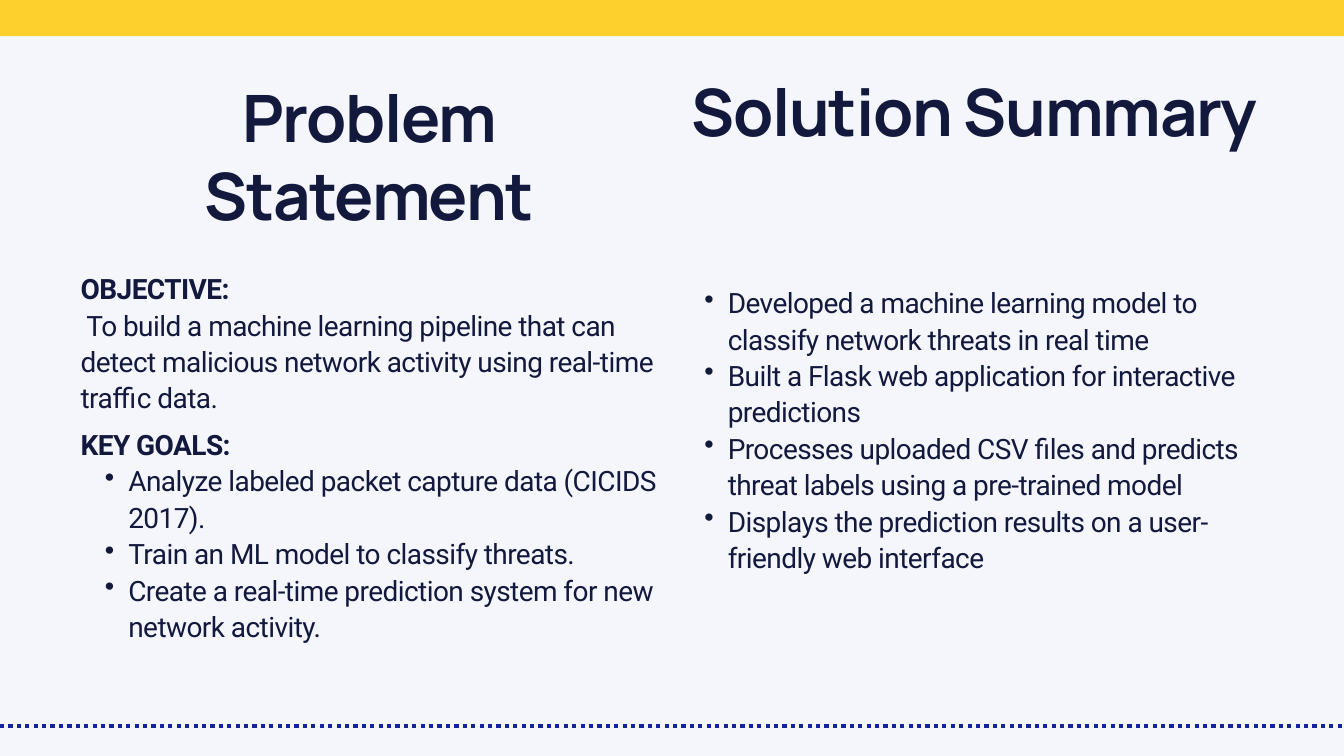
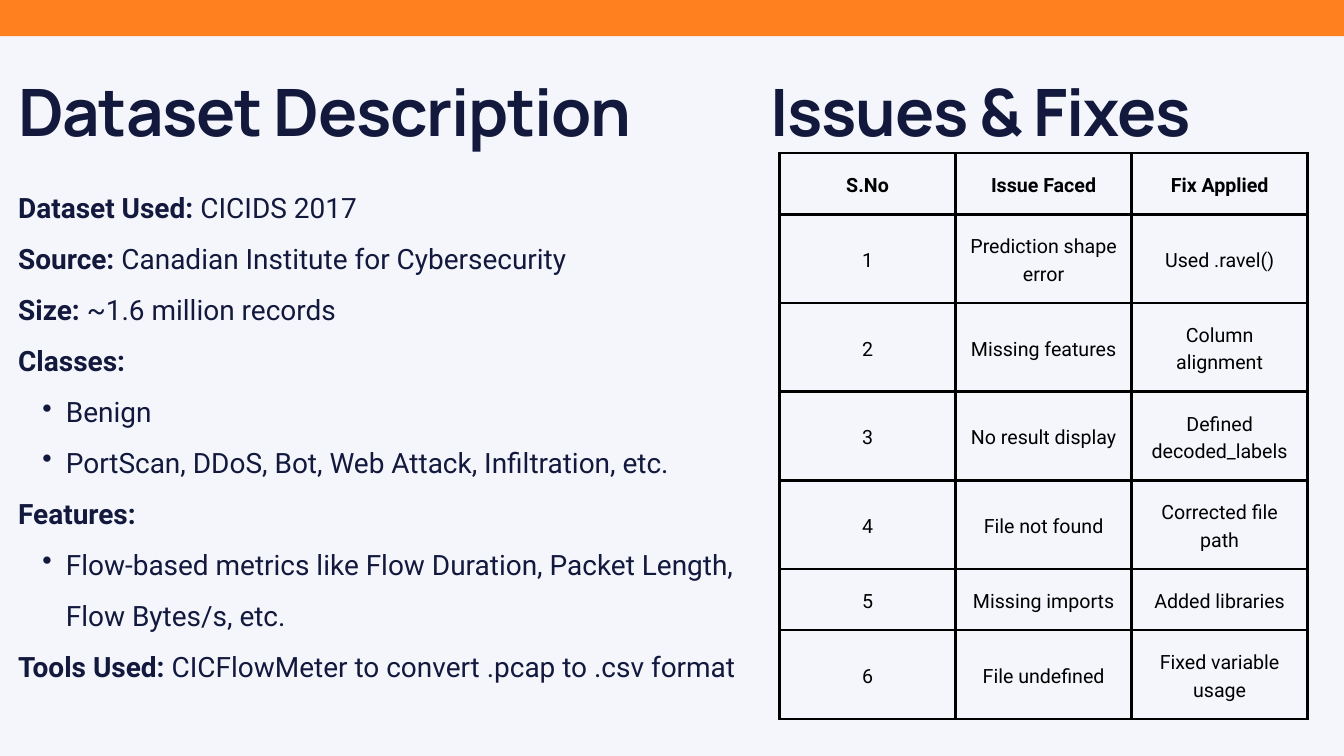
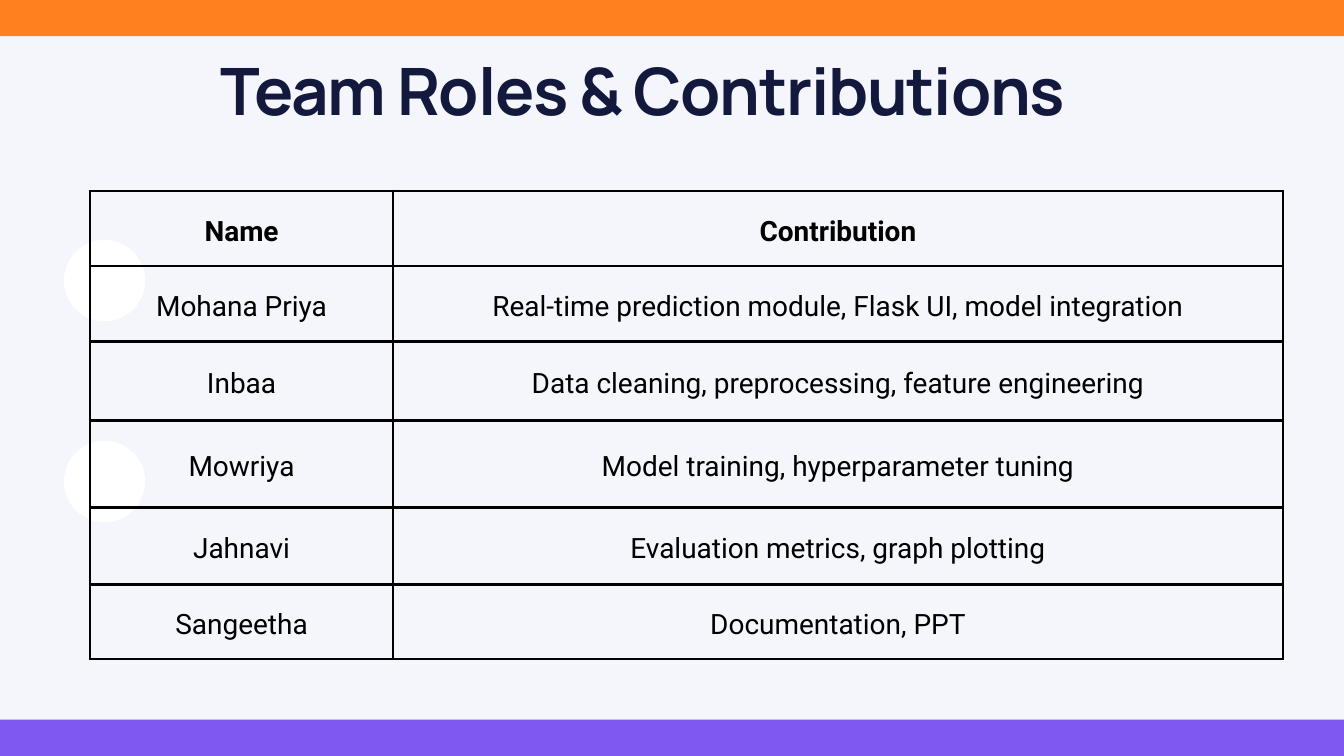
"""Build three slides on a network threat detection project."""
from lxml import etree
from pptx import Presentation
from pptx.dml.color import RGBColor
from pptx.enum.dml import MSO_LINE
from pptx.enum.shapes import MSO_CONNECTOR, MSO_SHAPE
from pptx.enum.text import MSO_ANCHOR, MSO_AUTO_SIZE, PP_ALIGN
from pptx.oxml.ns import qn
from pptx.util import Inches, Pt

LEFT, CENTER, JUSTIFY = PP_ALIGN.LEFT, PP_ALIGN.CENTER, PP_ALIGN.JUSTIFY
MIDDLE = MSO_ANCHOR.MIDDLE
GROW = MSO_AUTO_SIZE.SHAPE_TO_FIT_TEXT
RECTANGLE, OVAL = MSO_SHAPE.RECTANGLE, MSO_SHAPE.OVAL
STRAIGHT = MSO_CONNECTOR.STRAIGHT
DOTTED = MSO_LINE.ROUND_DOT

BACKGROUND = RGBColor(0xF4, 0xF6, 0xFC)
NAVY = RGBColor(0x13, 0x19, 0x3D)
BLUE = RGBColor(0x13, 0x23, 0x9D)
YELLOW = RGBColor(0xFD, 0xD0, 0x2E)
ORANGE = RGBColor(0xFF, 0x80, 0x1E)
PURPLE = RGBColor(0x7E, 0x58, 0xF0)
WHITE = RGBColor(0xFF, 0xFF, 0xFF)
BLACK = RGBColor(0x00, 0x00, 0x00)

TITLE_FONT, BODY_FONT = "Manrope", "Roboto"
SLIDE_WIDTH, SLIDE_HEIGHT, BAND_HEIGHT = 20, 11.25, 0.54
BULLET = "•"

GOALS = [
    ("KEY GOALS:", ""),
    (BULLET, "Analyze labeled packet capture data (CICIDS 2017)."),
    (BULLET, "Train an ML model to classify threats."),
    (BULLET, "Create a real-time prediction system for new network activity."),
]
OBJECTIVE = [
    ("OBJECTIVE:", ""),
    ("", " To build a machine learning pipeline that can detect malicious "
         "network activity using real-time traffic data."),
]
SOLUTION = [
    (BULLET, "Developed a machine learning model to classify network threats in real time"),
    (BULLET, "Built a Flask web application for interactive predictions"),
    (BULLET, "Processes uploaded CSV files and predicts threat labels using a pre-trained model"),
    (BULLET, "Displays the prediction results on a user-friendly web interface"),
]
DATASET = [
    ("Dataset Used: ", "CICIDS 2017"),
    ("Source:", " Canadian Institute for Cybersecurity"),
    ("Size:", " ~1.6 million records"),
    ("Classes:", ""),
    (BULLET, "Benign"),
    (BULLET, "PortScan, DDoS, Bot, Web Attack, Infiltration, etc."),
    ("Features:", ""),
    (BULLET, "Flow-based metrics like Flow Duration, Packet Length, Flow Bytes/s, etc."),
    ("Tools Used:", " CICFlowMeter to convert .pcap to .csv format"),
]
ISSUES = [
    ("S.No", "Issue Faced", "Fix Applied"),
    ("1", "Prediction shape error", "Used .ravel()"),
    ("2", "Missing features", "Column alignment"),
    ("3", "No result display", "Defined decoded_labels"),
    ("4", "File not found", "Corrected file path"),
    ("5", "Missing imports", "Added libraries"),
    ("6", "File undefined", "Fixed variable usage"),
]
ROLES = [
    ("Name", "Contribution"),
    ("Mohana Priya", "Real-time prediction module, Flask UI, model integration"),
    ("Inbaa", "Data cleaning, preprocessing, feature engineering"),
    ("Mowriya", "Model training, hyperparameter tuning"),
    ("Jahnavi", "Evaluation metrics, graph plotting"),
    ("Sangeetha", "Documentation, PPT"),
]


def inches(box):
    """Turn left, top, width and height into lengths."""
    return [Inches(length) for length in box]


def new_slide(presentation, band_color):
    """Add a blank slide with its background and top band."""
    slide = presentation.slides.add_slide(presentation.slide_layouts[6])
    slide.background.fill.solid()
    slide.background.fill.fore_color.rgb = BACKGROUND
    add_plain_shape(slide, RECTANGLE, (0, 0, SLIDE_WIDTH, BAND_HEIGHT), band_color)
    return slide


def add_plain_shape(slide, kind, box, color):
    """Add a filled shape without outline or shadow."""
    shape = slide.shapes.add_shape(kind, *inches(box))
    shape.shadow.inherit = False
    shape.fill.solid()
    shape.fill.fore_color.rgb = color
    shape.line.fill.background()


def add_dotted_rule(slide, top):
    """Draw a dotted line across the slide."""
    rule = slide.shapes.add_connector(
        STRAIGHT, 0, Inches(top), Inches(SLIDE_WIDTH), Inches(top))
    rule.line.color.rgb = BLUE
    rule.line.width = Pt(4.5)
    rule.line.dash_style = DOTTED
    etree.SubElement(rule._element.spPr, qn("a:effectLst"))


def add_text_frame(slide, box):
    """Add a wrapping text box without margins and return its frame."""
    frame = slide.shapes.add_textbox(*inches(box)).text_frame
    frame.word_wrap = True
    frame.auto_size = GROW
    frame.margin_left = frame.margin_top = frame.margin_right = frame.margin_bottom = 0
    return frame


def style_paragraph(paragraph, name, size, color, leading, align, tracking=0):
    """Set the font, line height, alignment and letter spacing of a paragraph."""
    paragraph.alignment = align
    paragraph.line_spacing = Pt(leading)
    paragraph.font.name = name
    paragraph.font.size = Pt(size)
    paragraph.font.color.rgb = color
    if tracking:
        for run in paragraph.runs:
            run._r.get_or_add_rPr().set("spc", str(round(tracking * 100)))


def add_title(slide, box, text, align=CENTER):
    """Add a large heading."""
    paragraph = add_text_frame(slide, box).paragraphs[0]
    paragraph.add_run().text = text
    style_paragraph(paragraph, TITLE_FONT, 70, NAVY, 84, align, -1.3)
    paragraph.font.bold = True


def add_bullet(paragraph):
    """Give a paragraph a hanging bullet."""
    paragraph.level = 1
    properties = paragraph._p.get_or_add_pPr()
    properties.set("marL", str(Inches(0.71)))
    properties.set("indent", str(Inches(-0.35)))
    etree.SubElement(properties, qn("a:buChar")).set("char", BULLET)


def add_body(slide, box, lines, leading=39, tracking=-0.6):
    """Add lines made of a bold label or a bullet, and plain text."""
    frame = add_text_frame(slide, box)
    for index, (label, text) in enumerate(lines):
        paragraph = frame.paragraphs[0] if index == 0 else frame.add_paragraph()
        if label == BULLET:
            add_bullet(paragraph)
            label = ""
        parts = [(part, bold) for part, bold in ((label, True), (text, False)) if part]
        for part, bold in parts:
            run = paragraph.add_run()
            run.text = part
            if len(parts) > 1:
                run.font.bold = bold
        style_paragraph(paragraph, BODY_FONT, 30, NAVY, leading, LEFT, tracking)
        if len(parts) == 1:
            paragraph.font.bold = parts[0][1]


def add_borders(cell):
    """Draw black lines on all four sides of a cell."""
    properties = cell._tc.get_or_add_tcPr()
    for side in ("lnL", "lnR", "lnT", "lnB"):
        line = etree.SubElement(properties, qn(f"a:{side}"), w=str(Pt(3)))
        fill = etree.SubElement(line, qn("a:solidFill"))
        etree.SubElement(fill, qn("a:srgbClr"), val=str(BLACK))


def add_grid(slide, box, rows, widths, heights, size):
    """Add a ruled table with a bold first row."""
    table = slide.shapes.add_table(len(rows), len(widths), *inches(box)).table
    table.first_row = table.horz_banding = False
    for column, width in zip(table.columns, widths):
        column.width = Inches(width)
    for row_index, (values, height) in enumerate(zip(rows, heights)):
        table.rows[row_index].height = Inches(height)
        for column_index, value in enumerate(values):
            cell = table.cell(row_index, column_index)
            cell.text = value
            cell.vertical_anchor = MIDDLE
            cell.margin_left = cell.margin_right = Inches(0.21)
            cell.margin_top = cell.margin_bottom = Inches(0.21)
            add_borders(cell)
            cell.fill.background()
            paragraph = cell.text_frame.paragraphs[0]
            style_paragraph(paragraph, BODY_FONT, size, BLACK, size * 1.4, CENTER)
            paragraph.font.bold = row_index == 0


def build_problem_slide(presentation):
    """Set the problem beside the solution."""
    slide = new_slide(presentation, YELLOW)
    add_title(slide, (1.12, 1.15, 8.75, 2.38), "Problem Statement")
    add_body(slide, (1.2, 4, 8.75, 2.18), OBJECTIVE)
    add_body(slide, (1.2, 6.32, 8.75, 3.8), GOALS)
    add_dotted_rule(slide, 10.8)
    add_title(slide, (10.12, 1.06, 8.75, 2.38), "Solution Summary")
    add_body(slide, (10.12, 4.21, 8.75, 4.89), SOLUTION)


def build_dataset_slide(presentation):
    """Set the dataset beside the table of issues."""
    slide = new_slide(presentation, ORANGE)
    tall, short = 1.32, 0.91
    add_grid(slide, (11.6, 2.28, 7.85, 8.42), ISSUES, [2.62] * 3,
             [short] + [tall] * 4 + [short, tall], 21)
    add_title(slide, (0.27, 1.06, 9.73, 1.22), "Dataset Description", JUSTIFY)
    add_body(slide, (0.27, 2.58, 10.98, 8.12), DATASET, 54.6, 0)
    add_title(slide, (9.73, 1.06, 9.73, 1.22), "Issues & Fixes")


def build_team_slide(presentation):
    """List who did what."""
    slide = new_slide(presentation, ORANGE)
    for top in (3.57, 6.56):
        add_plain_shape(slide, OVAL, (0.95, top, 1.21, 1.21), WHITE)
    add_plain_shape(slide, RECTANGLE,
                    (0, SLIDE_HEIGHT - BAND_HEIGHT, SLIDE_WIDTH, BAND_HEIGHT), PURPLE)
    add_grid(slide, (1.34, 2.84, 17.75, 6.97), ROLES, [4.51, 13.24],
             [1.12, 1.12, 1.18, 1.29, 1.15, 1.11], 30)
    add_title(slide, (1.56, 0.74, 16.02, 1.22), "Team Roles & Contributions")


def main():
    """Build and save the presentation."""
    presentation = Presentation()
    presentation.slide_width = Inches(SLIDE_WIDTH)
    presentation.slide_height = Inches(SLIDE_HEIGHT)
    build_problem_slide(presentation)
    build_dataset_slide(presentation)
    build_team_slide(presentation)
    presentation.save("out.pptx")


if __name__ == "__main__":
    main()
